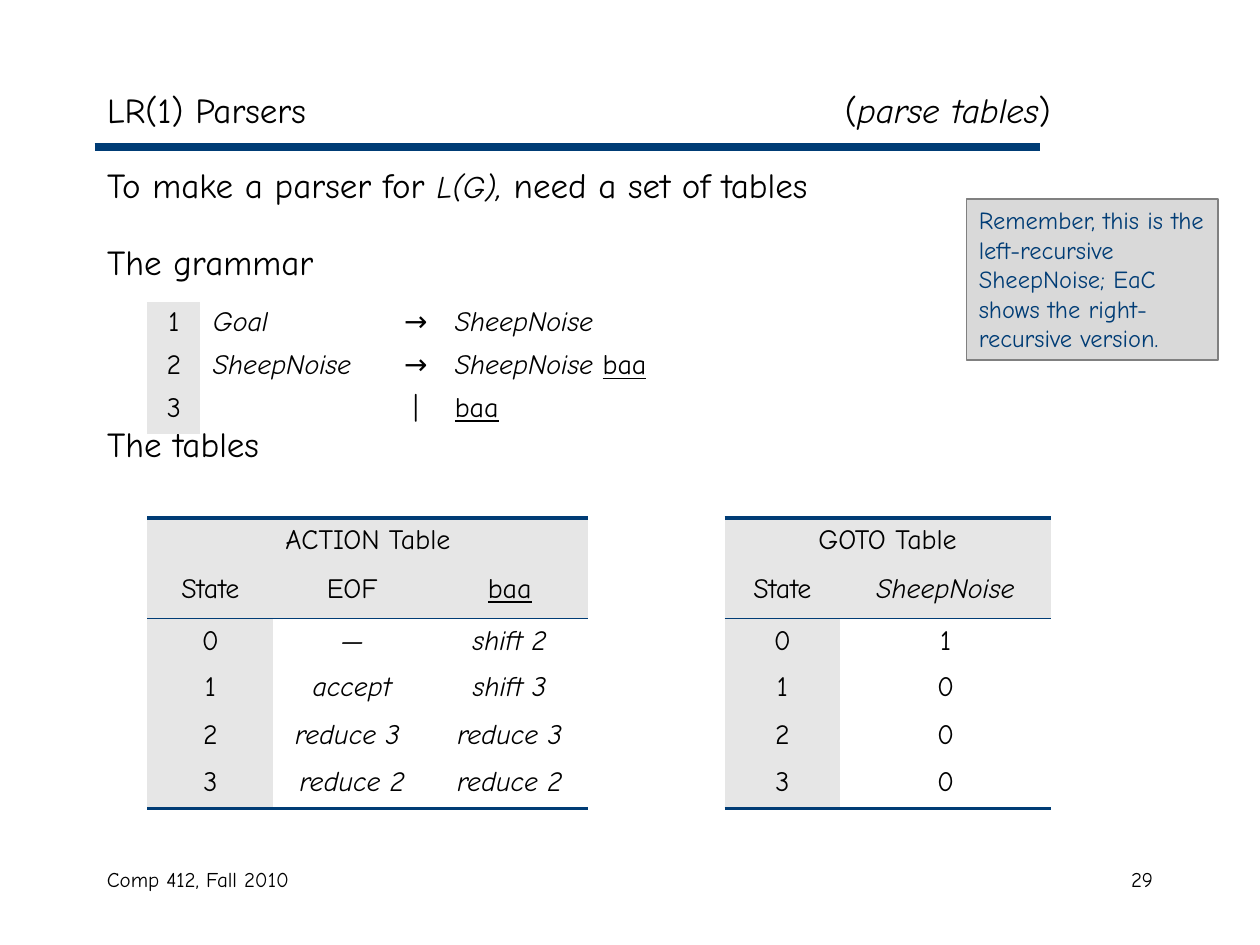
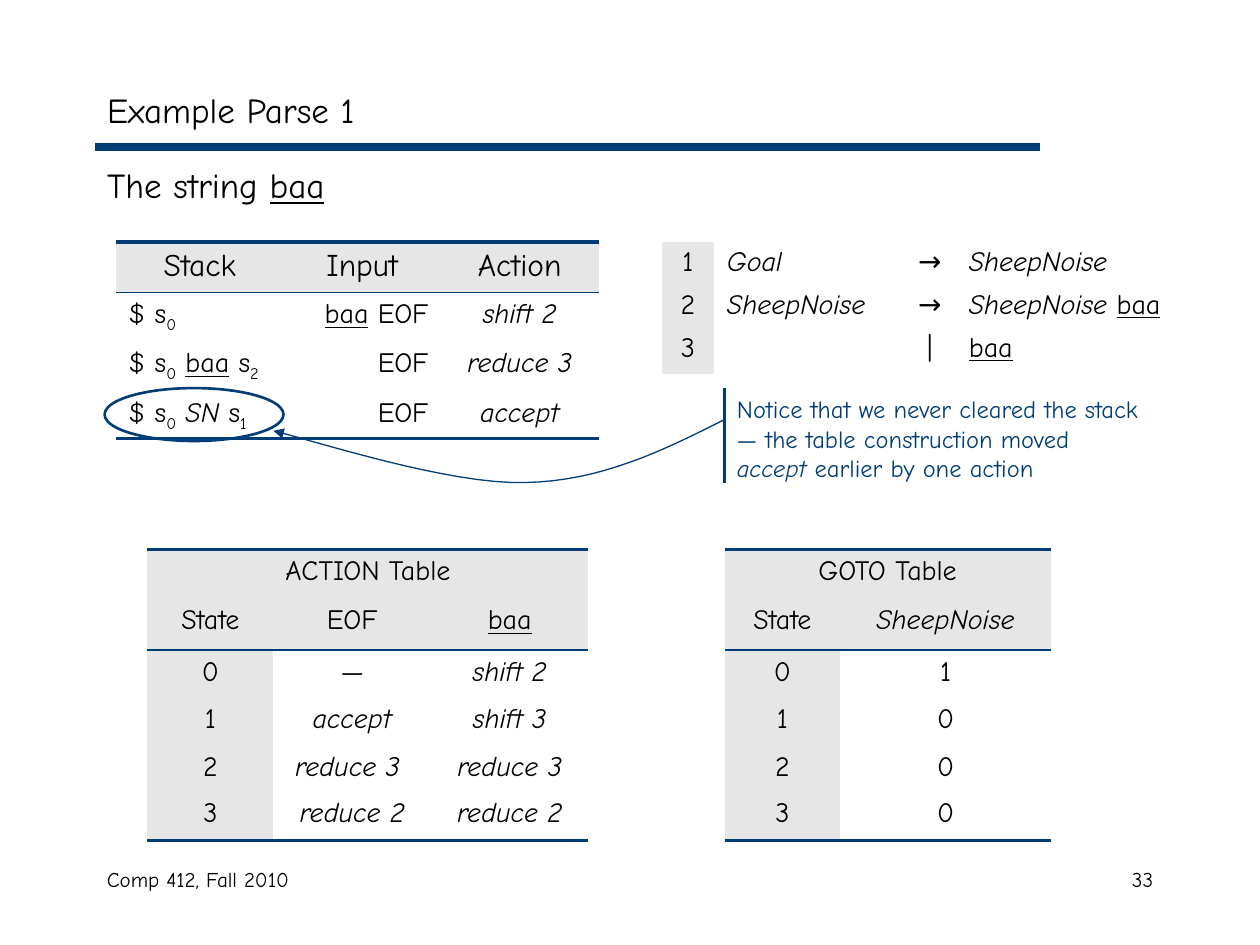
from dataclasses import dataclass
from itertools import product

from lxml.etree import SubElement
from pptx import Presentation
from pptx.dml.color import RGBColor
from pptx.enum.shapes import MSO_CONNECTOR, MSO_SHAPE
from pptx.enum.text import MSO_ANCHOR, MSO_AUTO_SIZE, PP_ALIGN
from pptx.oxml.ns import qn
from pptx.util import Inches, Pt

# Shared look
COLORS = {"ink": "000000", "navy": "003C75", "shade": "E6E6E6",
          "note": "D9D9D9", "note_edge": "808080"}
FONT = "Comic Neue"
ALIGN = {"l": PP_ALIGN.LEFT, "c": PP_ALIGN.CENTER, "r": PP_ALIGN.RIGHT}
PLAIN_TABLE_STYLE = "{2D5ABB26-0587-4C30-8999-92F81FD0307C}"
THICK, THIN = 2.25, 1


@dataclass
class Grid:
    """A table; cell text marks *italic*, _underline_ and ~subscript~."""
    columns: list[float]
    heights: list[float]
    rows: list[list[str]]
    aligns: str
    header_rows: int = 0
    header_size: int = 16
    shade_first_column: bool = True
    line_spacing: float = 1.0
    bottom_margin: float = 0.05


PARSE_HEIGHTS = [0.39, 0.41, 0.37, 0.38, 0.37, 0.39]

GRAMMAR = Grid(
    [0.42, 1.5, 0.42, 2], [0.34] * 3,
    [["1", "*Goal*", "→", "*SheepNoise*"],
     ["2", "*SheepNoise*", "→", "*SheepNoise *_baa_"],
     ["3", "", "|", "_baa_"]],
    "clcl", line_spacing=0.9)

ACTION = Grid(
    [1, 1.25, 1.25], PARSE_HEIGHTS,
    [["ACTION Table"],
     ["State", "EOF", "_baa_"],
     ["0", "*—*", "*shift 2*"],
     ["1", "*accept*", "*shift 3*"],
     ["2", "*reduce 3 *", "*reduce 3*"],
     ["3", "*reduce 2*", "*reduce 2*"]],
    "ccc", header_rows=2)

GOTO = Grid(
    [0.92, 1.67], PARSE_HEIGHTS,
    [["GOTO Table"], ["State", "*SheepNoise*"],
     ["0", "1"], ["1", "0"], ["2", "0"], ["3", "0"]],
    "cc", header_rows=2)

# The small bottom margin leaves room for subscripts
STACK = Grid(
    [1.33, 1.25, 1.25], [0.4, 0.39, 0.39, 0.38],
    [["Stack", "Input", "Action"],
     ["$ s~0~", "_baa_ EOF", "*shift 2*"],
     ["$ s~0~ _baa_ s~2~", "EOF", "*reduce 3*"],
     ["$ s~0~ *SN* s~1~", "EOF", "*accept*"]],
    "lrc", header_rows=1, header_size=18, shade_first_column=False,
    bottom_margin=0.02)


def rgb(name: str) -> RGBColor:
    return RGBColor.from_string(COLORS[name])


def split_spans(text: str) -> list[tuple[str, frozenset]]:
    """Cut marked text into pieces with the marks that hold for each."""
    spans, marks, piece = [], set(), ""
    for letter in text:
        if letter in "*_~":
            if piece:
                spans.append((piece, frozenset(marks)))
            marks ^= {letter}
            piece = ""
        else:
            piece += letter
    return spans + [(piece, frozenset())] if piece else spans


def write(para, text: str, size: int, color: str = "ink", align: str = "l") -> None:
    para.alignment = ALIGN[align]
    para.font.name, para.font.size = FONT, Pt(size)
    para.font.color.rgb = rgb(color)
    spans = split_spans(text)
    for piece, marks in spans:
        span = para.add_run()
        span.text = piece
        if "*" in marks:
            span.font.italic = True
        if "_" in marks:
            span.font.underline = True
        if "~" in marks:
            span.font._element.set("baseline", "-25000")
    if not spans:
        SubElement(para._p, qn("a:endParaRPr"), sz=str(size * 100))


def place(shape, left: float, top: float, width: float, height: float) -> None:
    shape.left, shape.top = Inches(left), Inches(top)
    shape.width, shape.height = Inches(width), Inches(height)


def add_text(page, left: float, top: float, width: float, height: float,
             text: str, size: int, color: str = "ink", align: str = "l") -> None:
    box = page.shapes.add_textbox(*map(Inches, (left, top, width, height)))
    box.text_frame.word_wrap = True
    write(box.text_frame.paragraphs[0], text, size, color, align)


def add_rule(page, start: tuple[float, float], end: tuple[float, float],
             weight: float) -> None:
    rule = page.shapes.add_connector(MSO_CONNECTOR.STRAIGHT, *map(Inches, start + end))
    rule.line.color.rgb, rule.line.width = rgb("navy"), Pt(weight)
    SubElement(rule._element.spPr, qn("a:effectLst"))


def set_border(cell, side: str, weight: float) -> None:
    """Draw one side of a cell, or clear it when the weight is zero."""
    line = SubElement(cell._tc.get_or_add_tcPr(), qn(f"a:ln{side}"), w=str(Pt(weight)))
    if weight:
        fill = SubElement(line, qn("a:solidFill"))
        SubElement(fill, qn("a:srgbClr"), val=COLORS["navy"])
    else:
        SubElement(line, qn("a:noFill"))


def add_grid(page, grid: Grid, left: float, top: float) -> None:
    row_count, column_count = len(grid.heights), len(grid.columns)
    frame = page.shapes.add_table(row_count, column_count, *map(
        Inches, (left, top, sum(grid.columns), sum(grid.heights))))
    table = frame.table
    table.first_row = table.horz_banding = False
    table._tbl.tblPr.find(qn("a:tableStyleId")).text = PLAIN_TABLE_STYLE
    for column, width in zip(table.columns, grid.columns):
        column.width = Inches(width)
    for row, height in zip(table.rows, grid.heights):
        row.height = Inches(height)

    # Rules above the table, under its header and at its foot
    rules = {}
    if grid.header_rows:
        rules = {0: THICK, grid.header_rows: THIN, row_count: THICK}

    for r, c in product(range(row_count), range(column_count)):
        cell, texts = table.cell(r, c), grid.rows[r]
        in_header = r < grid.header_rows
        cell.margin_bottom = Inches(grid.bottom_margin)
        set_border(cell, "T", rules.get(r, 0))
        set_border(cell, "B", rules.get(r + 1, 0))
        if in_header or (c == 0 and grid.shade_first_column):
            cell.fill.solid()
            cell.fill.fore_color.rgb = rgb("shade")
        else:
            cell.fill.background()
        para = cell.text_frame.paragraphs[0]
        if grid.line_spacing != 1:
            para.line_spacing = grid.line_spacing
        write(para, texts[c] if c < len(texts) else "",
              grid.header_size if in_header else 16,
              align="c" if in_header else grid.aligns[c])
        # A lone heading spans the whole row
        if len(texts) == 1 and c == column_count - 1:
            table.cell(r, 0).merge(cell)


def add_parse_tables(page, top: float) -> None:
    add_grid(page, ACTION, 1.17, top)
    add_grid(page, GOTO, 5.75, top)


def add_page(deck, title: str, number: int, body: list[tuple[str, float]],
             body_height: float):
    """Add a page with rule, footer, title and (text, space before) body lines."""
    page = deck.slides.add_slide(deck.slide_layouts[1])
    add_rule(page, (0.75, 1.17), (8.25, 1.17), 4.5)
    add_text(page, 0.75, 6.83, 3.17, 0.5, "Comp 412, Fall 2010", 12)
    add_text(page, 7.17, 6.83, 2.08, 0.5, str(number), 12, align="r")

    heading, content = page.shapes.title, page.placeholders[1]
    place(heading, 0.75, 0.58, 8.5, 0.58)
    place(content, 0.75, 1.25, 8.5, body_height)
    for holder in (heading, content):
        holder.text_frame.auto_size = MSO_AUTO_SIZE.NONE
        holder.text_frame.word_wrap = True
    heading.text_frame.vertical_anchor = MSO_ANCHOR.MIDDLE
    para = heading.text_frame.paragraphs[0]
    if "\t" in title:
        tabs = SubElement(para._p.get_or_add_pPr(), qn("a:tabLst"))
        SubElement(tabs, qn("a:tab"), pos=str(Inches(7.49)), algn="r")
    write(para, title, 20)

    for index, (text, space) in enumerate(body):
        frame = content.text_frame
        para = frame.add_paragraph() if index else frame.paragraphs[0]
        properties = para._p.get_or_add_pPr()
        properties.set("marL", str(Inches(0.38)))
        properties.set("indent", str(Inches(-0.38)))
        SubElement(properties, qn("a:buNone"))
        para.space_before = Pt(space)
        write(para, text, 20)
    return page


def curve_points(start, bend_1, bend_2, end, steps: int = 16) -> list[tuple[float, float]]:
    """Points along a cubic curve, without its start."""
    points = []
    for step in range(1, steps + 1):
        t = step / steps
        weights = ((1 - t) ** 3, 3 * t * (1 - t) ** 2, 3 * t * t * (1 - t), t ** 3)
        points.append(tuple(
            sum(weight * value for weight, value in zip(weights, values))
            for values in zip(start, bend_1, bend_2, end)))
    return points


def add_curved_arrow(page) -> None:
    start, middle, tip = (5.75, 3.33), (4.17, 3.83), (2.17, 3.42)
    points = (curve_points(start, (5.26, 3.58), (4.76, 3.82), middle)
              + curve_points(middle, (3.57, 3.85), (2.5, 3.5), tip))
    # The builder rounds to whole units, so it is given lengths in full
    builder = page.shapes.build_freeform(*map(Inches, start))
    builder.add_line_segments([(Inches(x), Inches(y)) for x, y in points], close=False)
    arrow = builder.convert_to_shape()
    arrow.shadow.inherit = False
    arrow.fill.background()
    arrow.line.color.rgb, arrow.line.width = rgb("navy"), Pt(0.75)
    SubElement(arrow.line._get_or_add_ln(), qn("a:tailEnd"), type="triangle")


def build_parse_tables_page(deck) -> None:
    page = add_page(deck, "LR(1) Parsers\t(*parse tables*)", 29, [
        ("To make a parser for *L(G)**, *need a set of tables", 0),
        ("The grammar", 20), ("The tables", 80)], 5.42)
    page.placeholders[1].text_frame.paragraphs[0].runs[1].font.size = Pt(18)

    # Reminder
    note = page.shapes.add_shape(MSO_SHAPE.RECTANGLE, *map(Inches, (7.67, 1.58, 2, 1.28)))
    note.shadow.inherit = False
    note.fill.solid()
    note.fill.fore_color.rgb = rgb("note")
    note.line.color.rgb, note.line.width = rgb("note_edge"), Pt(1)
    note.text_frame.word_wrap = True
    note.text_frame.vertical_anchor = MSO_ANCHOR.TOP
    write(note.text_frame.paragraphs[0],
          "Remember, this is the left-recursive SheepNoise; "
          "EaC shows the right-recursive version.", 14, "navy")

    add_grid(page, GRAMMAR, 1.17, 2.4)
    add_parse_tables(page, 4.11)


def build_example_page(deck) -> None:
    page = add_page(deck, "Example Parse 1", 33, [("The string _baa_", 0)], 0.58)
    add_grid(page, GRAMMAR, 5.25, 1.92)
    add_grid(page, STACK, 0.92, 1.92)

    # Remark pointing at the final stack
    add_text(page, 5.75, 3.08, 3.42, 0.81,
             "Notice that we never cleared the stack — the table construction "
             "moved *accept* earlier by one action", 14, "navy")
    ring = page.shapes.add_shape(MSO_SHAPE.OVAL, *map(Inches, (0.83, 3.08, 1.42, 0.42)))
    ring.shadow.inherit = False
    ring.fill.background()
    ring.line.color.rgb, ring.line.width = rgb("navy"), Pt(1.5)
    add_rule(page, (5.75, 3.08), (5.75, 3.83), 1.5)
    add_curved_arrow(page)

    add_parse_tables(page, 4.36)


def main() -> None:
    deck = Presentation()
    deck.slide_width, deck.slide_height = Inches(10), Inches(7.5)
    build_parse_tables_page(deck)
    build_example_page(deck)
    deck.save("out.pptx")


if __name__ == "__main__":
    main()
